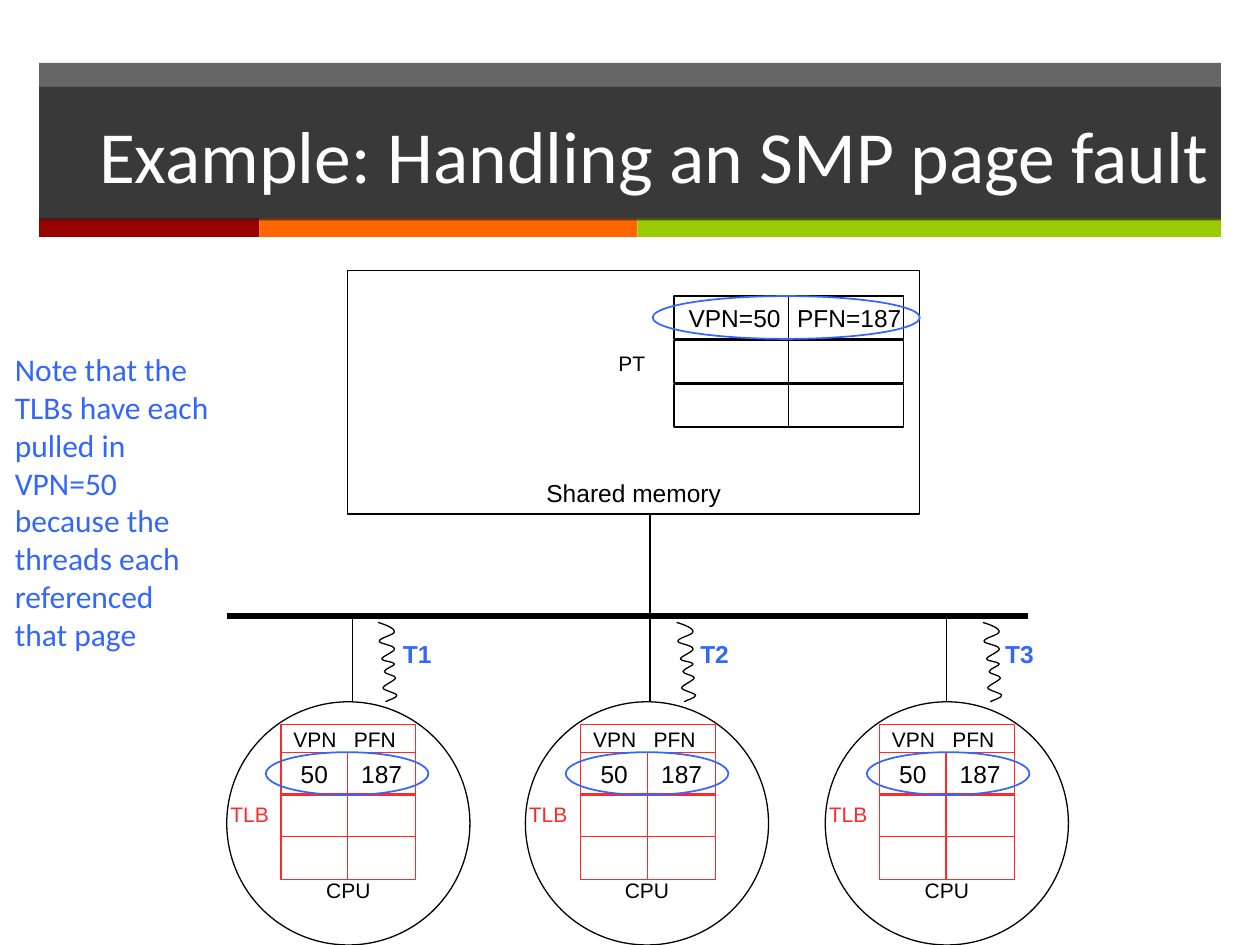
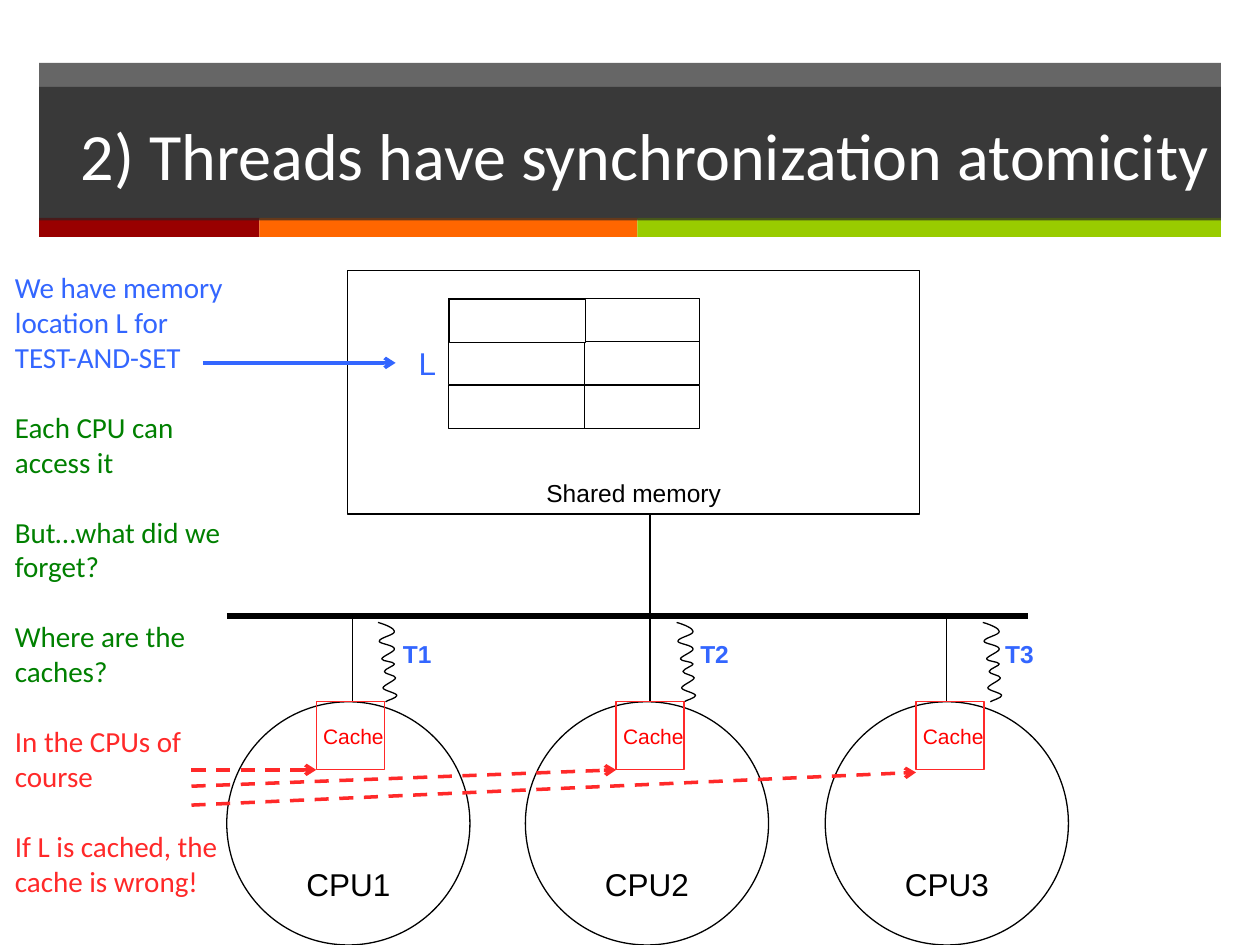
"""Build two slides on page faults and atomicity in a shared-memory multiprocessor."""
from dataclasses import dataclass

from lxml.etree import SubElement
from pptx import Presentation
from pptx.dml.color import RGBColor
from pptx.enum.dml import MSO_LINE
from pptx.enum.shapes import MSO_CONNECTOR, MSO_SHAPE as SHAPE
from pptx.enum.text import MSO_ANCHOR as ANCHOR, PP_ALIGN as ALIGN
from pptx.oxml.ns import qn
from pptx.util import Inches, Pt


@dataclass(frozen=True)
class Theme:
    black: str = "000000"
    white: str = "FFFFFF"
    charcoal: str = "262626"
    crimson: str = "990000"
    orange: str = "FF6600"
    lime: str = "99CC00"
    blue: str = "3366FF"
    green: str = "008000"
    red: str = "FF2929"
    cache_red: str = "FF0000"
    heading_font: str = "Calibri"
    diagram_font: str = "Arial"
    fault_title: float = 42
    atomicity_title: float = 37.8
    atomicity_notes: float = 16.6
    small: float = 12
    medium: float = 14
    large: float = 18
    thin: float = 0.75
    ring: float = 1
    arrow: float = 2
    bus: float = 3


theme = Theme()


def add_box(slide, kind, at, texts=(), size=theme.small, color=theme.black,
            font=theme.diagram_font, fill=None, line=None, width=theme.thin, bold=False,
            align=ALIGN.CENTER, anchor=ANCHOR.MIDDLE, wrap=False, shift=0, before=0):
    place = [Inches(value) for value in at]
    if kind is None:
        box = slide.shapes.add_textbox(*place)
    else:
        box = slide.shapes.add_shape(kind, *place)
        box.shadow.inherit = False
        if fill:
            box.fill.solid()
            box.fill.fore_color.rgb = RGBColor.from_string(fill)
        else:
            box.fill.background()
        if line:
            box.line.color.rgb = RGBColor.from_string(line)
            box.line.width = Pt(width)
        else:
            box.line.fill.background()
    frame = box.text_frame
    frame.word_wrap = wrap
    frame.vertical_anchor = anchor
    frame.margin_left = Inches(0.1 + shift)
    for index, (text, text_color) in enumerate((t, color) if isinstance(t, str) else t for t in texts):
        paragraph = frame.add_paragraph() if index else frame.paragraphs[0]
        paragraph.alignment = align
        paragraph.space_before = Pt(before)
        run = paragraph.add_run()
        run.text = text
        run.font.size = Pt(size)
        run.font.name = font
        run.font.bold = bold
        run.font.color.rgb = RGBColor.from_string(text_color)
    return box


def add_link(slide, start, end, color=theme.black, width=theme.thin, arrow=False, dashed=False):
    link = slide.shapes.add_connector(
        MSO_CONNECTOR.STRAIGHT, *[Inches(value) for value in (*start, *end)])
    link.line.color.rgb = RGBColor.from_string(color)
    link.line.width = Pt(width)
    if dashed:
        link.line.dash_style = MSO_LINE.DASH
    if arrow:
        SubElement(link.line._get_or_add_ln(), qn("a:tailEnd"), type="arrow")
    SubElement(link._element.spPr, qn("a:effectLst"))
    return link


cpu_lefts = (1.8, 4.17, 6.55)
tlb_lefts = (2.23, 4.61, 6.98)
ring_lefts = (2.11, 4.49, 6.88)
cache_lefts = (2.51, 4.89, 7.27)
cpu_links = (2.8, 5.16, 7.51)
threads = (("T1", 3, 3.1), ("T2", 5.37, 5.46), ("T3", 7.8, 7.88))
bus_y, cpu_top, cpu_size, thread_top = 4.89, 5.57, 1.93, 4.94
squiggle = (
    (0.07, 0.02), (0.13, 0.05), (0.13, 0.07),
    (0.14, 0.1), (0.01, 0.12), (0.01, 0.15),
    (0.01, 0.17), (0.13, 0.18), (0.13, 0.21),
    (0.14, 0.23), (0.03, 0.27), (0.03, 0.29),
    (0.03, 0.31), (0.13, 0.31), (0.13, 0.33),
    (0.14, 0.34), (0.05, 0.37), (0.05, 0.39),
    (0.05, 0.41), (0.14, 0.42), (0.14, 0.44),
    (0.14, 0.46), (0.04, 0.5), (0.04, 0.52),
    (0.04, 0.54), (0.15, 0.56), (0.15, 0.58),
    (0.15, 0.6), (0.07, 0.62), (0.06, 0.63),
)

topics = (
    dict(title="Example: Handling an SMP page fault", title_size=theme.fault_title,
         notes=[("Note that the TLBs have each pulled in VPN=50 because the threads "
                 "each referenced that page", theme.blue)],
         notes_at=(0.02, 2.73, 1.77, 3.8), notes_size=theme.large,
         cpus=("CPU", "CPU", "CPU"), cpu_text=theme.small),
    dict(title="2) Threads have synchronization atomicity", title_size=theme.atomicity_title,
         notes=[("We have memory location L for TEST-AND-SET", theme.blue),
                ("Each CPU can access it", theme.green),
                ("But…what did we forget?", theme.green),
                ("Where are the caches?", theme.green),
                ("In the CPUs of course", theme.red),
                ("If L is cached, the cache is wrong!", theme.red)],
         notes_at=(0.02, 2.09, 1.91, 5.41), notes_size=theme.atomicity_notes,
         cpus=("CPU1", "CPU2", "CPU3"), cpu_text=theme.large),
)

deck = Presentation()
deck.slide_width, deck.slide_height = Inches(10), Inches(7.5)
slides = []

for topic in topics:
    slide = deck.slides.add_slide(deck.slide_layouts[6])
    slides.append(slide)
    band = add_box(slide, SHAPE.RECTANGLE, (0.31, 0.5, 9.38, 1.24), fill=theme.charcoal)
    for left, width, color in ((0.31, 1.75, theme.crimson), (2.06, 3, theme.orange),
                               (5.06, 4.63, theme.lime)):
        add_box(slide, SHAPE.RECTANGLE, (left, 1.73, width, 0.15), fill=color)
    heading = add_box(slide, SHAPE.RECTANGLE, (0.31, 0.69, 9.38, 1.06), [topic["title"]],
                      topic["title_size"], theme.white, theme.heading_font,
                      fill=theme.charcoal, align=ALIGN.RIGHT, wrap=True)
    for veil in (band, heading):
        tint = veil._element.spPr.find(qn("a:solidFill")).find(qn("a:srgbClr"))
        SubElement(tint, qn("a:alpha"), val="70000")

    add_box(slide, None, topic["notes_at"], topic["notes"], topic["notes_size"],
            font=theme.heading_font, align=ALIGN.LEFT, anchor=ANCHOR.TOP, wrap=True, before=20)
    add_box(slide, SHAPE.RECTANGLE, (2.76, 2.15, 4.54, 1.93), ["Shared memory"],
            theme.medium, line=theme.black, anchor=ANCHOR.BOTTOM)
    for left, label in zip(cpu_lefts, topic["cpus"]):
        add_box(slide, SHAPE.OVAL, (left, cpu_top, cpu_size, cpu_size), [label],
                topic["cpu_text"], line=theme.black, anchor=ANCHOR.BOTTOM)

    add_link(slide, (1.8, bus_y), (8.16, bus_y), width=theme.bus)
    add_link(slide, (5.16, 4.09), (5.16, bus_y))
    for x in cpu_links:
        add_link(slide, (x, bus_y), (x, cpu_top))
    for name, thread_x, label_x in threads:
        builder = slide.shapes.build_freeform(Inches(thread_x), Inches(thread_top))
        builder.add_line_segments(
            [(Inches(thread_x + x), Inches(thread_top + y)) for x, y in squiggle], close=False)
        thread = builder.convert_to_shape()
        thread.shadow.inherit = False
        thread.fill.background()
        thread.line.color.rgb = RGBColor.from_string(theme.black)
        thread.line.width = Pt(theme.thin)
        outline = thread._element.find(".//" + qn("a:path"))
        for index, segment in enumerate(outline.findall(qn("a:lnTo"))):
            if index % 3 == 0:
                curve = SubElement(outline, qn("a:cubicBezTo"))
            curve.append(segment[0])
            outline.remove(segment)
        add_box(slide, None, (label_x, 5.02, 0.43, 0.34), [name], theme.medium, theme.blue,
                bold=True, align=ALIGN.LEFT, anchor=ANCHOR.TOP)

fault_slide, atomicity_slide = slides

for cpu_left, tlb_left, ring_left in zip(cpu_lefts, tlb_lefts, ring_lefts):
    add_box(fault_slide, SHAPE.RECTANGLE, (tlb_left, 5.75, 1.07, 1.23), line=theme.red)
    tlb_header = add_box(fault_slide, None, (tlb_left, 5.72, 1.07, 0.3), ["VPN\tPFN"],
                         align=ALIGN.LEFT, anchor=ANCHOR.TOP, wrap=True)
    tabs = SubElement(tlb_header.text_frame.paragraphs[0]._p.get_or_add_pPr(), qn("a:tabLst"))
    SubElement(tabs, qn("a:tab"), pos=str(Inches(0.48)), algn="l")
    for top, entry in zip((5.97, 6.3, 6.64), (("50", "187"), (), ())):
        for column, (offset, width) in enumerate(((0, 0.53), (0.53, 0.54))):
            add_box(fault_slide, SHAPE.RECTANGLE, (tlb_left + offset, top, width, 0.34),
                    entry[column:column + 1], theme.medium, line=theme.red)
    add_box(fault_slide, None, (cpu_left - 0.07, 6.31, 0.54, 0.3), ["TLB"], color=theme.red,
            align=ALIGN.LEFT, anchor=ANCHOR.TOP, wrap=True)
    add_box(fault_slide, SHAPE.OVAL, (ring_left, 5.97, 1.29, 0.34),
            line=theme.blue, width=theme.ring)

for row, entry in enumerate((("VPN=50", "PFN=187"), (), ())):
    for column in range(2):
        add_box(fault_slide, SHAPE.RECTANGLE,
                (5.35 + column * 0.91, 2.35 + row * 0.35, 0.91, 0.34),
                entry[column:column + 1], theme.medium, line=theme.black, shift=0.05)
add_box(fault_slide, None, (4.81, 2.73, 0.54, 0.3), ["PT"],
        align=ALIGN.LEFT, anchor=ANCHOR.TOP, wrap=True)
add_box(fault_slide, SHAPE.OVAL, (5.18, 2.35, 2.12, 0.34), line=theme.blue, width=theme.ring)

for top in (2.37, 2.71, 3.06):
    for left, width in ((3.56, 1.08), (4.64, 0.91)):
        add_box(atomicity_slide, SHAPE.RECTANGLE, (left, top, width, 0.34), line=theme.black)
add_box(atomicity_slide, SHAPE.RECTANGLE, (3.57, 2.38, 1.08, 0.34),
        fill=theme.white, line=theme.black)
location = add_box(atomicity_slide, None, (3.14, 2.68, 0.42, 0.4), ["L"], theme.large,
                   theme.blue, align=ALIGN.RIGHT, anchor=ANCHOR.TOP, wrap=True)
location_arrow = add_link(atomicity_slide, (1.61, 2.88), (3.14, 2.88), theme.blue,
                          theme.arrow, arrow=True)
location_arrow.end_connect(location, 1)

for cache_left in cache_lefts:
    add_box(atomicity_slide, SHAPE.RECTANGLE, (cache_left, cpu_top, 0.54, 0.54), ["Cache"],
            color=theme.cache_red, line=theme.red, shift=0.05)
for cache_left, start_y, end_y in zip(cache_lefts, (6.11, 6.24, 6.39), (6.11, 6.11, 6.13)):
    add_link(atomicity_slide, (1.52, start_y), (cache_left, end_y), theme.red, theme.arrow,
             arrow=True, dashed=True)

deck.save("out.pptx")
